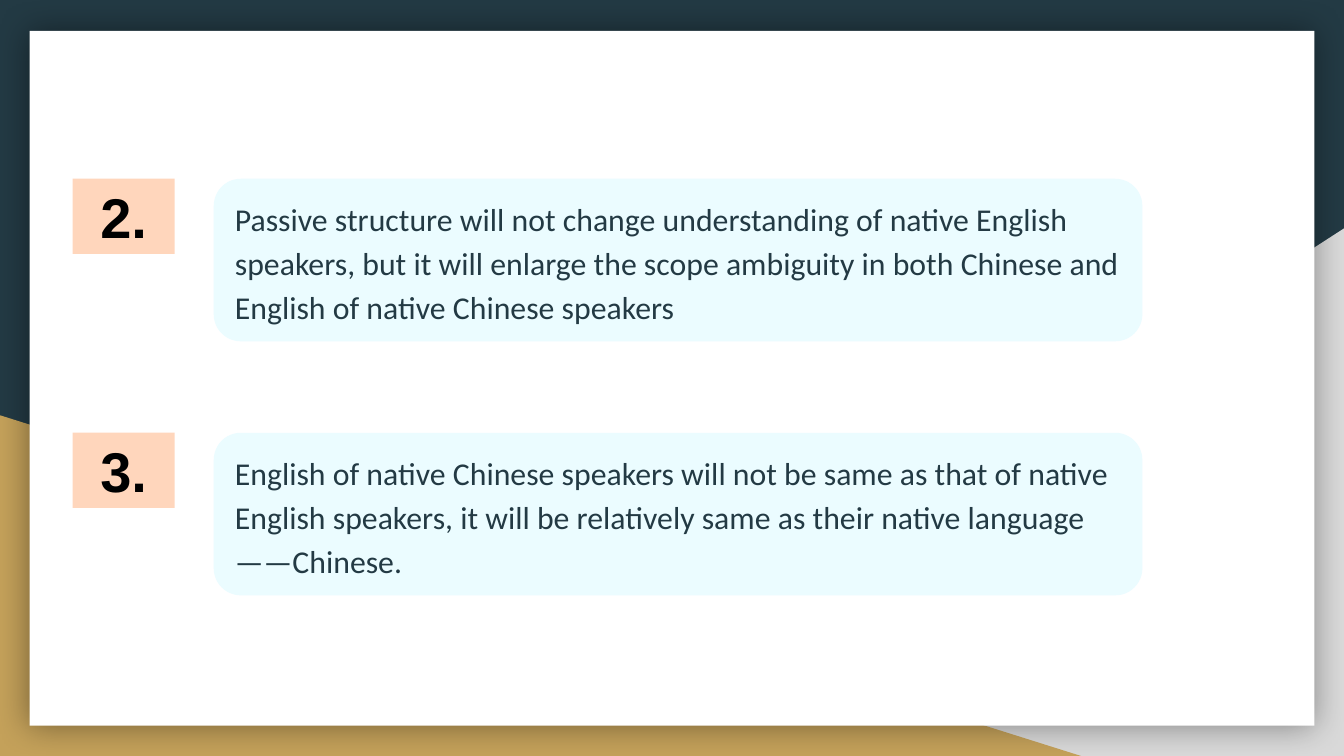
from lxml import etree
from pptx import Presentation
from pptx import util as u
from pptx.dml.color import RGBColor
from pptx.enum import shapes, text
from pptx.oxml.ns import qn

POINTS = [
    ("2.", "Passive structure will not change understanding of native English speakers, "
           "but it will enlarge the scope ambiguity in both Chinese and English of native "
           "Chinese speakers"),
    ("3.", "English of native Chinese speakers will not be same as that of native English "
           "speakers, it will be relatively same as their native language——Chinese."),
]
COLORS = {"navy": "233A44", "grey": "D9D9D9", "gold": "C4A15A", "white": "FFFFFF",
          "peach": "FFD6BC", "ice": "EBFCFF", "black": "000000"}
SLIDE_W = 10
SLIDE_H = SLIDE_W * 9 / 16
FIRST_TOP, ROW_STEP = 1.33, 1.89
SHAPE = shapes.MSO_SHAPE

prs = Presentation()
prs.slide_width, prs.slide_height = u.Inches(SLIDE_W), u.Inches(SLIDE_H)
slide = prs.slides.add_slide(prs.slide_layouts[6])
slide.background.fill.solid()
slide.background.fill.fore_color.rgb = RGBColor.from_string(COLORS["navy"])


def add_block(kind, left, top, width, height, color):
    block = slide.shapes.add_shape(kind, *map(u.Inches, (left, top, width, height)))
    block.shadow.inherit = False
    block.fill.solid()
    block.fill.fore_color.rgb = RGBColor.from_string(COLORS[color])
    block.line.fill.background()
    return block


def write(block, words, font, size, color, align, bold=False):
    frame = block.text_frame
    frame.word_wrap = True
    frame.vertical_anchor = text.MSO_ANCHOR.MIDDLE
    frame.margin_left = frame.margin_right = u.Inches(0.1)
    frame.margin_top = frame.margin_bottom = u.Inches(0.1)
    frame.text = words
    paragraph = frame.paragraphs[0]
    paragraph.alignment = align
    run_font = paragraph.runs[0].font
    run_font.name, run_font.size, run_font.bold = font, u.Pt(size), bold
    run_font.color.rgb = RGBColor.from_string(COLORS[color])
    return paragraph


def add_glow_shadow(block, blur, opacity):
    effects = block.element.spPr.find(qn("a:effectLst"))
    shadow = etree.SubElement(effects, qn("a:outerShdw"), blurRad=str(u.Pt(blur)),
                              dist="0", dir="0", algn="ctr", rotWithShape="0")
    shade = etree.SubElement(shadow, qn("a:srgbClr"), val=COLORS["black"])
    etree.SubElement(shade, qn("a:alpha"), val=str(opacity * 1000))


# Corner triangles and the white card
grey_corner = add_block(SHAPE.RIGHT_TRIANGLE, 3.92, 1.7, 6.08, 3.93, "grey")
grey_corner.element.spPr.find(qn("a:xfrm")).set("flipH", "1")
add_block(SHAPE.RIGHT_TRIANGLE, 0, 3.09, 8.06, 2.54, "gold")
card = add_block(SHAPE.RECTANGLE, 0.22, 0.23, 9.56, 5.17, "white")
add_glow_shadow(card, blur=18, opacity=40)

# Numbered points
for row, (number, statement) in enumerate(POINTS):
    top = FIRST_TOP + row * ROW_STEP
    badge = add_block(SHAPE.RECTANGLE, 0.54, top, 0.76, 0.56, "peach")
    write(badge, number, "Arial", 30, "black", text.PP_ALIGN.CENTER, bold=True)

    panel = add_block(SHAPE.ROUNDED_RECTANGLE, 1.59, top, 6.91, 1.21, "ice")
    body = write(panel, statement, "Calibri", 17, "navy", text.PP_ALIGN.LEFT)
    body.line_spacing = 1.15
    body.space_after = u.Pt(16)

prs.save("out.pptx")
